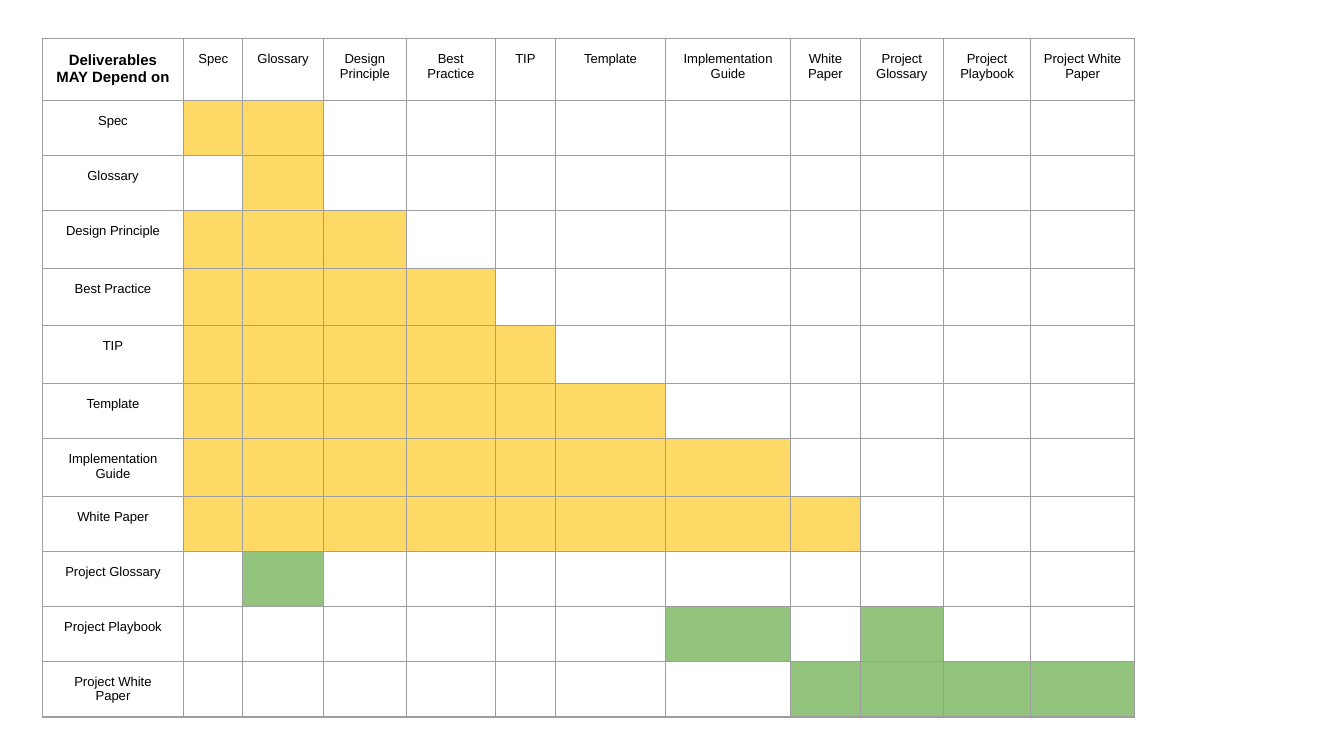
from lxml.etree import SubElement
from pptx import Presentation
from pptx.dml.color import RGBColor
from pptx.enum.text import PP_ALIGN
from pptx.oxml.ns import qn
from pptx.util import Cm, Pt

# Content: Y = core dependency, G = project dependency, . = none
TITLE = "Deliverables MAY Depend on "
DEPENDENCIES = [
    ("Spec", "YY........."),
    ("Glossary", ".Y........."),
    ("Design Principle", "YYY........"),
    ("Best Practice", "YYYY......."),
    ("TIP", "YYYYY......"),
    ("Template", "YYYYYY....."),
    ("Implementation Guide", "YYYYYYY...."),
    ("White Paper", "YYYYYYYY..."),
    ("Project Glossary", ".G........."),
    ("Project Playbook", "......G.G.."),
    ("Project White Paper", ".......GGGG"),
]
FILLS = {"Y": "FFD966", "G": "93C47D"}
BORDER, INK = "9E9E9E", "000000"
COLUMN_WIDTHS = [2.67, 1.12, 1.52, 1.57, 1.68, 1.14, 2.08, 2.36, 1.32, 1.57, 1.65, 1.96]
ROW_HEIGHTS = [1.17, 1.04, 1.04, 1.09, 1.09, 1.09, 1.04, 1.09, 1.04, 1.04, 1.04, 1.04]
MARGIN = Cm(0.25)


def color(value):
    return RGBColor.from_string(value)


def add_borders(cell):
    properties = cell._tc.get_or_add_tcPr()
    for position, side in enumerate(("lnL", "lnR", "lnT", "lnB")):
        line = properties.makeelement(qn(f"a:{side}"), {"w": str(Pt(0.75))})
        fill = SubElement(line, qn("a:solidFill"))
        SubElement(fill, qn("a:srgbClr"), val=BORDER)
        properties.insert(position, line)


def format_cell(cell, text="", mark=".", size=7, bold=False):
    cell.margin_left = cell.margin_right = MARGIN
    cell.margin_top = cell.margin_bottom = MARGIN
    para = cell.text_frame.paragraphs[0]
    para.alignment = PP_ALIGN.CENTER
    para.font.name, para.font.size, para.font.bold = "Arial", Pt(size), bold
    para.font.color.rgb = color(INK)
    if text:
        para.text = text
    else:
        # An empty cell takes its line height from the end mark
        SubElement(para._p, qn("a:endParaRPr"), sz=str(size * 100))
    if mark in FILLS:
        cell.fill.solid()
        cell.fill.fore_color.rgb = color(FILLS[mark])
    else:
        cell.fill.background()
    add_borders(cell)


deck = Presentation()
deck.slide_width, deck.slide_height = Cm(25.4), Cm(14.29)
page = deck.slides.add_slide(deck.slide_layouts[6])

# Table grid
matrix = page.shapes.add_table(
    len(ROW_HEIGHTS), len(COLUMN_WIDTHS), Cm(0.8), Cm(0.73),
    Cm(sum(COLUMN_WIDTHS)), Cm(sum(ROW_HEIGHTS))).table
matrix.first_row = matrix.horz_banding = False
for column, width in zip(matrix.columns, COLUMN_WIDTHS):
    column.width = Cm(width)
for row, height in zip(matrix.rows, ROW_HEIGHTS):
    row.height = Cm(height)

# Headings and dependency marks
format_cell(matrix.cell(0, 0), TITLE, size=8, bold=True)
for index, (name, marks) in enumerate(DEPENDENCIES, start=1):
    format_cell(matrix.cell(0, index), name)
    format_cell(matrix.cell(index, 0), name)
    for column_index, mark in enumerate(marks, start=1):
        format_cell(matrix.cell(index, column_index), mark=mark)

deck.save("out.pptx")
